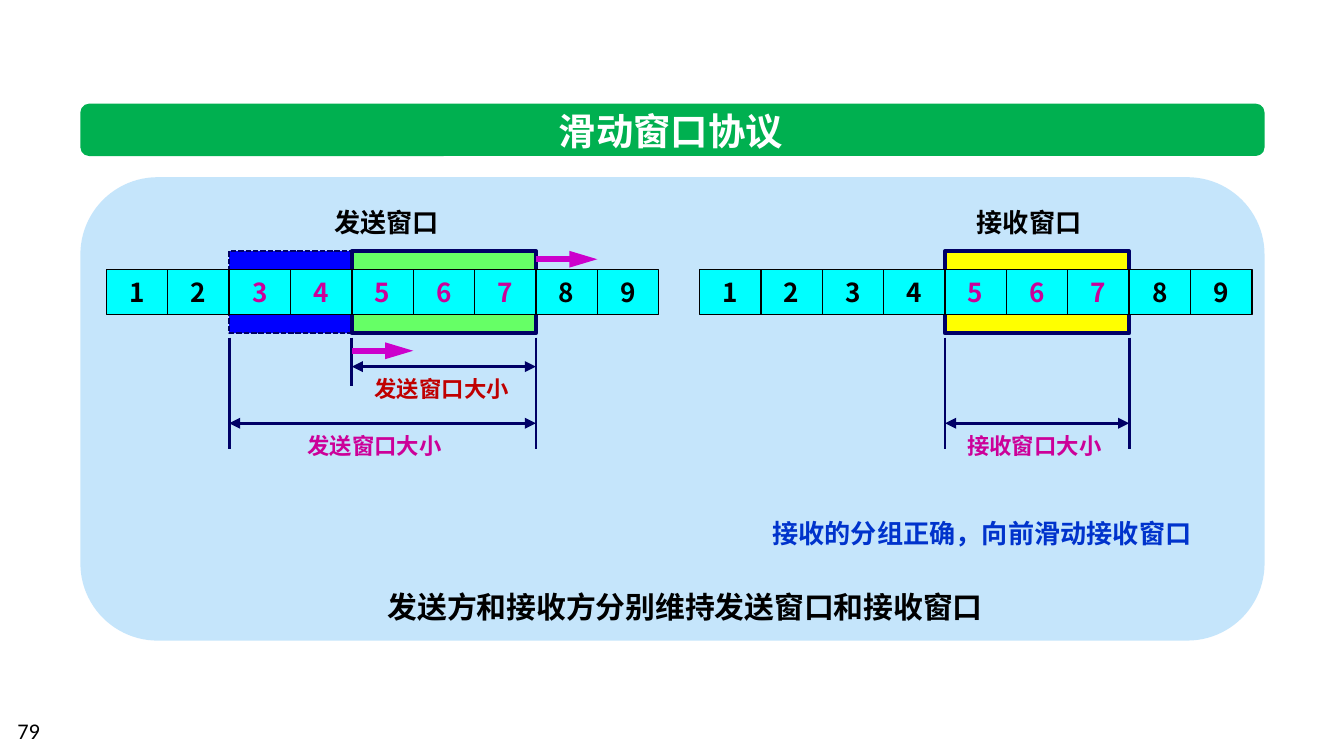
from dataclasses import dataclass

from lxml.etree import SubElement
from pptx import Presentation
from pptx.dml.color import RGBColor
from pptx.enum.dml import MSO_LINE
from pptx.enum.shapes import MSO_CONNECTOR, MSO_SHAPE
from pptx.enum.text import MSO_ANCHOR, MSO_AUTO_SIZE, PP_ALIGN
from pptx.oxml.ns import qn
from pptx.util import Cm, Pt

COLORS = {
    "white": "FFFFFF", "black": "000000", "bar": "00B050", "panel": "C5E5FB",
    "navy": "000066", "blue": "0000FF", "green": "66FF66", "yellow": "FFFF00",
    "cyan": "00FFFF", "magenta": "CC0099", "red": "C00000", "arrow": "CC00CC",
    "note": "0033CC",
}
FONT = "Noto Sans CJK SC"
CELL = 1.16
CELL_COUNT = 9
STRIP_TOP, STRIP_HEIGHT = 5.09, 0.86
WINDOW_TOP, WINDOW_HEIGHT = 4.75, 1.55
GUIDE_TOP, GUIDE_BOTTOM = 6.38, 8.48


@dataclass
class Window:
    first: int
    last: int
    fill: str
    line_width: float = 2.25
    dashed: bool = False


@dataclass
class Strip:
    left: float
    highlighted: range
    windows: list[Window]

    def edge(self, number: int) -> float:
        """Left edge of the numbered cell, in centimetres."""
        return self.left + (number - 1) * CELL


@dataclass
class Label:
    text: str
    left: float
    top: float
    width: float
    height: float
    size: int
    color: str = "black"
    align: PP_ALIGN = PP_ALIGN.LEFT
    anchor: MSO_ANCHOR = MSO_ANCHOR.TOP
    font: str = FONT
    bold: bool = True
    wrap: bool = False


def rgb(name: str) -> RGBColor:
    return RGBColor.from_string(COLORS[name])


def write_label(box, label: Label) -> None:
    """Place a text box or placeholder and fill it with the label."""
    box.left, box.top = Cm(label.left), Cm(label.top)
    box.width, box.height = Cm(label.width), Cm(label.height)
    frame = box.text_frame
    frame.text = label.text
    frame.word_wrap = label.wrap
    frame.auto_size = MSO_AUTO_SIZE.NONE
    frame.vertical_anchor = label.anchor
    para = frame.paragraphs[0]
    para.alignment = label.align
    font = para.runs[0].font
    font.size, font.bold, font.name = Pt(label.size), label.bold, label.font
    font.color.rgb = rgb(label.color)
    SubElement(para.runs[0].font._element, qn("a:ea"), typeface=label.font)


def add_label(shapes, label: Label) -> None:
    write_label(shapes.add_textbox(0, 0, 0, 0), label)


def add_block(shapes, kind: MSO_SHAPE, left: float, top: float, width: float,
              height: float, fill: str, line: str = "", line_width: float = 0):
    block = shapes.add_shape(kind, Cm(left), Cm(top), Cm(width), Cm(height))
    block.shadow.inherit = False
    block.fill.solid()
    block.fill.fore_color.rgb = rgb(fill)
    if line:
        block.line.color.rgb = rgb(line)
        block.line.width = Pt(line_width)
    else:
        block.line.fill.background()
    return block


def add_line(shapes, start: tuple[float, float], end: tuple[float, float],
             color: str = "navy", width: float = 1.5,
             ends: tuple[str, ...] = (), length: str = "med") -> None:
    """Draw a straight line; ends lists headEnd and/or tailEnd arrowheads."""
    line = shapes.add_connector(MSO_CONNECTOR.STRAIGHT, Cm(start[0]), Cm(start[1]),
                                Cm(end[0]), Cm(end[1]))
    line.line.color.rgb = rgb(color)
    line.line.width = Pt(width)
    properties = line.element.spPr
    for end_tag in ends:
        SubElement(properties.find(qn("a:ln")), qn(f"a:{end_tag}"),
                   type="triangle", w="med", len=length)
    SubElement(properties, qn("a:effectLst"))


def add_strip(shapes, strip: Strip) -> None:
    """Draw the windows and the numbered cells in front of them."""
    for window in strip.windows:
        block = add_block(shapes, MSO_SHAPE.RECTANGLE, strip.edge(window.first), WINDOW_TOP,
                          (window.last - window.first + 1) * CELL, WINDOW_HEIGHT,
                          window.fill, "navy", window.line_width)
        if window.dashed:
            block.line.dash_style = MSO_LINE.SQUARE_DOT
    cells = shapes.add_group_shape().shapes
    add_block(cells, MSO_SHAPE.RECTANGLE, strip.left, STRIP_TOP, CELL_COUNT * CELL,
              STRIP_HEIGHT, "cyan", "black", 0.75)
    for number in range(1, CELL_COUNT + 1):
        left = strip.edge(number)
        color = "magenta" if number in strip.highlighted else "black"
        add_label(cells, Label(str(number), left, STRIP_TOP, CELL, STRIP_HEIGHT, 14, color,
                               PP_ALIGN.CENTER, MSO_ANCHOR.MIDDLE))
        if number > 1:
            add_line(cells, (left, STRIP_TOP), (left, STRIP_TOP + STRIP_HEIGHT),
                     "black", 0.75)


def add_guide(shapes, x: float, bottom: float = GUIDE_BOTTOM) -> None:
    add_line(shapes, (x, GUIDE_TOP), (x, bottom))


def add_span(shapes, left: float, right: float, y: float) -> None:
    """Draw a double-headed measuring arrow."""
    add_line(shapes, (left, y), (right, y), ends=("headEnd", "tailEnd"))


def add_slide_arrow(shapes, left: float, y: float) -> None:
    add_line(shapes, (left, y), (left + CELL, y), "arrow", 3, ("tailEnd",), "lg")


def main() -> None:
    deck = Presentation()
    deck.slide_width, deck.slide_height = Cm(25.4), Cm(14.29)
    page = deck.slides.add_slide(deck.slide_layouts[5])
    shapes = page.shapes

    title = shapes.title
    write_label(title, Label("滑动窗口协议", 10.29, 1.91, 4.78, 1.12, 20, "white",
                             PP_ALIGN.CENTER))
    bar = add_block(shapes, MSO_SHAPE.ROUNDED_RECTANGLE, 1.52, 1.96, 22.38, 0.99, "bar")
    title.element.addprevious(bar.element)
    add_block(shapes, MSO_SHAPE.ROUNDED_RECTANGLE, 1.52, 3.35, 22.38, 8.76, "panel")

    sender = Strip(2.01, range(3, 8),
                   [Window(3, 7, "blue", 1, True), Window(5, 7, "green")])
    receiver = Strip(13.22, range(5, 8), [Window(5, 7, "yellow")])
    for strip in (sender, receiver):
        add_strip(shapes, strip)
        left, right = strip.edge(strip.highlighted.start), strip.edge(strip.highlighted.stop)
        add_guide(shapes, left)
        add_guide(shapes, right)
        add_span(shapes, left, right, 8)

    add_guide(shapes, sender.edge(5), 7.29)
    add_span(shapes, sender.edge(5), sender.edge(8), 6.93)
    add_slide_arrow(shapes, sender.edge(5), 6.63)
    add_slide_arrow(shapes, sender.edge(8), 4.9)

    labels = [
        Label("发送窗口", 6.07, 3.78, 2.51, 0.86, 14),
        Label("接收窗口", 18.21, 3.78, 2.51, 0.86, 14),
        Label("发送窗口大小", 6.83, 6.96, 3.07, 0.76, 12, "red"),
        Label("发送窗口大小", 5.56, 8.05, 3.07, 0.76, 12, "magenta"),
        Label("接收窗口大小", 18.03, 8.05, 3.07, 0.76, 12, "magenta"),
        Label("接收的分组正确，向前滑动接收窗口", 14.35, 9.65, 8.48, 0.86, 14, "note"),
        Label("发送方和接收方分别维持发送窗口和接收窗口", 6.3, 11, 13.31, 0.94, 16,
              align=PP_ALIGN.CENTER, wrap=True),
        Label("79", 0.08, 13.44, 5.92, 0.76, 12, font="Calibri", bold=False, wrap=True),
    ]
    for label in labels:
        add_label(shapes, label)

    deck.save("out.pptx")


if __name__ == "__main__":
    main()
